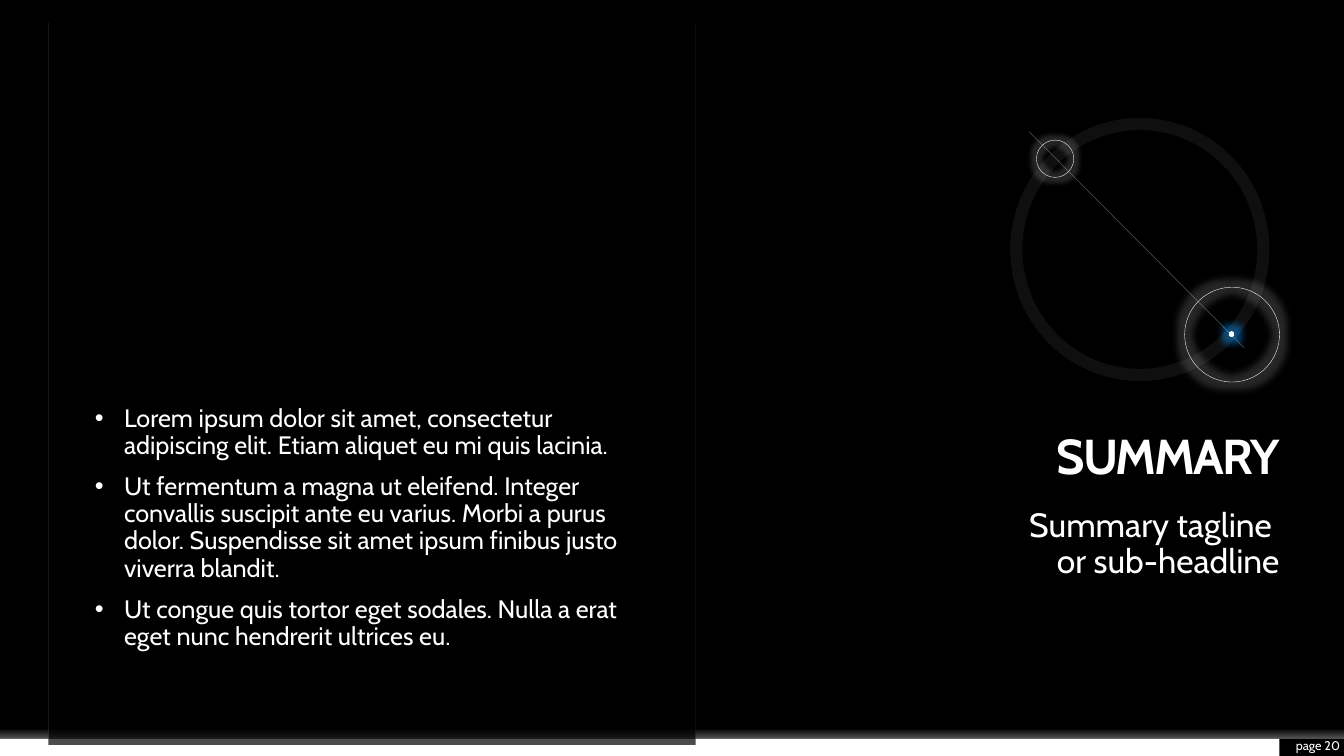
from dataclasses import dataclass

from pptx import Presentation
from pptx.dml.color import RGBColor
from pptx.enum.shapes import MSO_CONNECTOR as CONN, MSO_SHAPE as SHAPE
from pptx.enum.text import MSO_ANCHOR as ANCHOR, PP_ALIGN as ALIGN
from pptx.oxml import parse_xml
from pptx.oxml.ns import nsdecls, qn
from pptx.util import Inches, Pt


@dataclass(frozen=True)
class Theme:
    """Colours, font and type sizes of the deck."""
    font: str = "Cabin"
    back: str = "000000"
    white: str = "FFFFFF"
    rule: str = "F2F2F2"
    axis: str = "E7E6E6"
    core: str = "F7FFFF"
    halo: str = "C1E4FF"
    glow: str = "0070C0"
    title: float = 35
    tagline: float = 24
    body: float = 18
    page: float = 9


T = Theme()
POINTS = [
    "Lorem ipsum dolor sit amet, consectetur adipiscing elit. Etiam aliquet eu mi quis lacinia.",
    "Ut fermentum a magna ut eleifend. Integer convallis suscipit ante eu varius. "
    "Morbi a purus dolor. Suspendisse sit amet ipsum finibus justo viverra blandit.",
    "Ut congue quis tortor eget sodales. Nulla a erat eget nunc hendrerit ultrices eu.",
]


def set_attrs(obj, **values):
    """Set each named attribute on an object."""
    for name, value in values.items():
        setattr(obj, name, value)


def color_xml(color, alpha=100):
    """Return a colour element as text, with its opacity in percent."""
    return (f'<a:srgbClr {nsdecls("a")} val="{color}">'
            f'<a:alpha val="{alpha * 1000}"/></a:srgbClr>')


def paint(fill_format, color, alpha=100):
    """Apply a solid colour with an opacity to a fill."""
    fill_format.solid()
    fill_format.fore_color.rgb = RGBColor.from_string(color)
    if alpha < 100:
        clr = fill_format._xPr.find(qn("a:solidFill"))[0]
        clr.append(parse_xml(f'<a:alpha {nsdecls("a")} val="{alpha * 1000}"/>'))


def add_shape(s, kind, box, fill=None, alpha=100, line=None, weight=0.25, line_alpha=100):
    """Add a preset shape with a plain fill and outline."""
    sp = s.shapes.add_shape(kind, *map(Inches, box))
    sp.shadow.inherit = False
    if fill:
        paint(sp.fill, fill, alpha)
    else:
        sp.fill.background()
    if line:
        paint(sp.line.fill, line, line_alpha)
        sp.line.width = Pt(weight)
    else:
        sp.line.fill.background()
    return sp


def add_gradient(sp, stops, direction):
    """Replace the empty fill of a shape with a gradient."""
    gs = "".join(f'<a:gs pos="{pos * 1000}">{color_xml(c, a)}</a:gs>' for pos, c, a in stops)
    empty = sp._element.spPr.find(qn("a:noFill"))
    empty.getparent().replace(empty, parse_xml(
        f'<a:gradFill {nsdecls("a")}><a:gsLst>{gs}</a:gsLst>{direction}</a:gradFill>'))


def add_glow(sp, radius, color, alpha):
    """Add a soft glow around a shape."""
    sp._element.spPr.find(qn("a:effectLst")).append(parse_xml(
        f'<a:glow {nsdecls("a")} rad="{Pt(radius)}">{color_xml(color, alpha)}</a:glow>'))


def add_line(s, start, end, color, weight, alpha):
    """Add a thin straight line without a shadow."""
    ln = s.shapes.add_connector(CONN.STRAIGHT, *map(Inches, start + end))
    paint(ln.line.fill, color, alpha)
    ln.line.width = Pt(weight)
    ln._element.spPr.append(parse_xml(f'<a:effectLst {nsdecls("a")}/>'))


def add_text(s, box, paragraphs, size, anchor=ANCHOR.TOP, bold=False, **para):
    """Add a text box without insets and return its paragraphs."""
    tf = s.shapes.add_textbox(*map(Inches, box)).text_frame
    set_attrs(tf, word_wrap=True, vertical_anchor=anchor, margin_left=0,
              margin_right=0, margin_top=0, margin_bottom=0)
    for i, text in enumerate(paragraphs):
        p = tf.add_paragraph() if i else tf.paragraphs[0]
        p.text = text
        set_attrs(p, **para)
        for r in p.runs:
            set_attrs(r.font, name=T.font, size=Pt(size), bold=bold)
            r.font.color.rgb = RGBColor.from_string(T.white)
    return tf.paragraphs


def footer(s, x, y, w, h):
    """Draw the white strip, the light rising from it and the page number."""
    page_w = 0.64
    add_shape(s, SHAPE.RECTANGLE, (x, y, w - page_w, h), T.white)
    light = add_shape(s, SHAPE.RECTANGLE, (x, y - h, w, h))
    add_gradient(light, [(40, T.white, 0), (100, T.white, 35)],
                 '<a:lin ang="5400000" scaled="0"/>')
    add_text(s, (x + w - page_w, y - 0.02, 0.6, h), ["page 20"], T.page,
             ANCHOR.MIDDLE, alignment=ALIGN.RIGHT)


def summary_points(s, x, y, w, h):
    """Draw the ruled panel with its bulleted points."""
    add_shape(s, SHAPE.RECTANGLE, (x, y + 4.03, w, h - 3.97), T.back, 70)
    for rule_x in (x, x + w):
        add_line(s, (rule_x, y), (rule_x, y + h), T.rule, 0.25, 15)
    for p in add_text(s, (x + 0.46, y + 3.79, 5.49, 2.98), POINTS, T.body,
                      line_spacing=0.9, space_before=Pt(10)):
        pPr = p._p.get_or_add_pPr()
        pPr.set("marL", str(Inches(0.29)))
        pPr.set("indent", str(-Inches(0.29)))
        pPr.append(parse_xml(f'<a:buFont {nsdecls("a")} typeface="Arial"/>'))
        pPr.append(parse_xml(f'<a:buChar {nsdecls("a")} char="•"/>'))


def orbit(s, x, y, w, h):
    """Draw the ring with two glowing circles joined by a line."""
    for dx, dy, d, radius in ((1.67, 1.62, 0.94, 10), (0.2, 0.16, 0.37, 7)):
        circle = add_shape(s, SHAPE.OVAL, (x + dx, y + dy, d, d), line=T.white)
        add_glow(circle, radius, T.white, 15)
    dot = add_shape(s, SHAPE.OVAL, (x + 2.11, y + 2.06, 0.05, 0.05))
    add_gradient(dot, [(0, T.white, 100), (65, T.core, 100), (70, T.halo, 100)],
                 '<a:path path="circle"><a:fillToRect l="50000" t="50000" '
                 'r="50000" b="50000"/></a:path>')
    add_glow(dot, 10, T.glow, 60)
    add_shape(s, SHAPE.OVAL, (x, y, w, h), line=T.white, weight=8.75, line_alpha=6)
    add_line(s, (x + 0.13, y + 0.08), (x + 2.26, y + 2.22), T.axis, 0.5, 30)


def headline(s, x, y, w):
    """Write the right-aligned title and its tagline."""
    right = {"alignment": ALIGN.RIGHT, "line_spacing": 0.9}
    title = add_text(s, (x, y, w, 0.79), ["SUMMARY"], T.title, ANCHOR.BOTTOM, True, **right)
    title[0].runs[0]._r.get_or_add_rPr().set("spc", "-150")
    add_text(s, (x, y + 1.02, w, 1.97), ["Summary tagline \vor sub-headline"],
             T.tagline, space_before=Pt(10), **right)


def main():
    """Build and save the summary slide."""
    prs = Presentation()
    set_attrs(prs, slide_width=Inches(13.33), slide_height=Inches(7.5))
    s = prs.slides.add_slide(prs.slide_layouts[6])
    paint(s.background.fill, T.back)
    footer(s, 0, 7.33, 13.33, 0.17)
    summary_points(s, 0.48, 0.23, 6.42, 7.1)
    orbit(s, 10.08, 1.23, 2.45, 2.49)
    headline(s, 7.13, 4.02, 5.56)
    prs.save("out.pptx")


if __name__ == "__main__":
    main()
